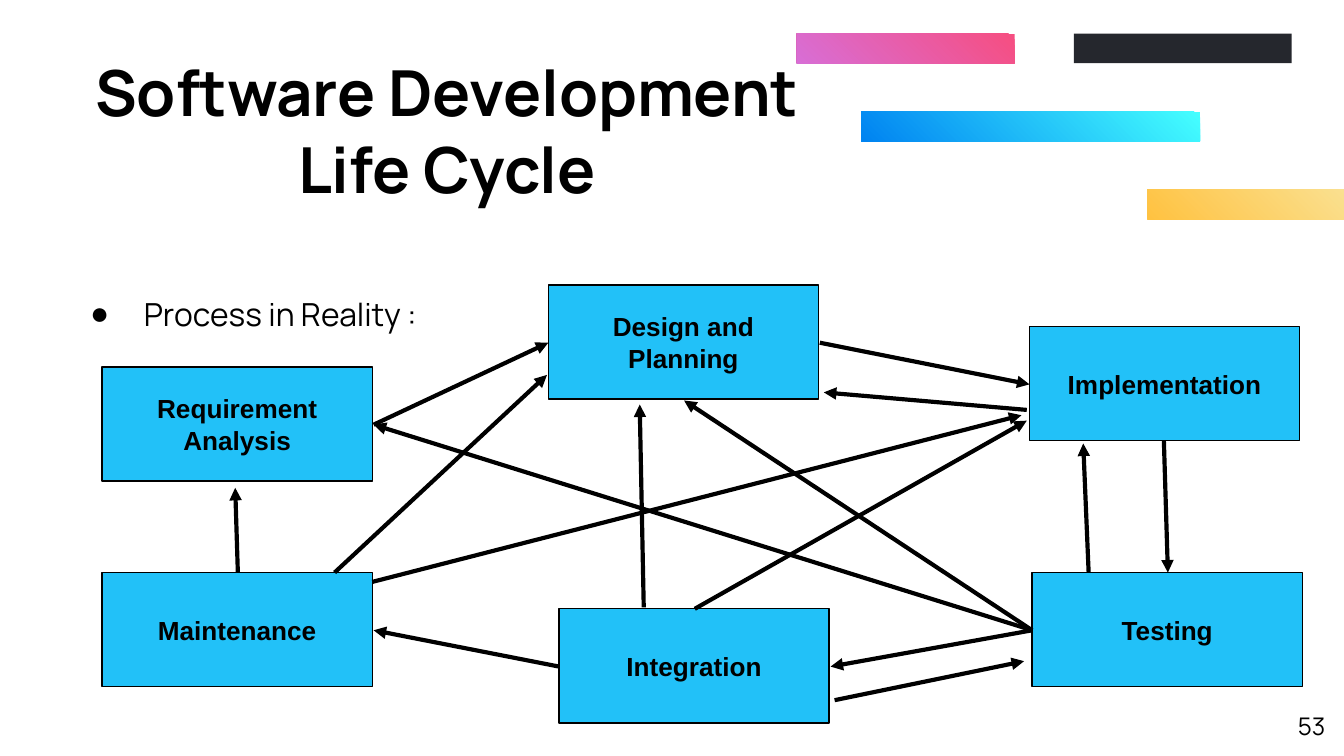
from dataclasses import dataclass
from typing import NamedTuple

from lxml import etree
from pptx import Presentation
from pptx import util as u
from pptx.dml.color import RGBColor
from pptx.enum import shapes, text
from pptx.oxml import ns


@dataclass(frozen=True)
class Theme:
    ink: str = "000000"
    stage: str = "22C1F8"
    charcoal: str = "25272D"
    cyan_blue: tuple[str, str] = ("45FFFF", "0083F1")
    pink: tuple[str, str] = ("F64E81", "D86ED5")
    yellow: tuple[str, str] = ("FAE08F", "FFC241")
    heading_font: str = "Manrope"
    stage_font: str = "Arial"
    title_size: float = 34
    body_size: float = 17
    stage_size: float = 14
    number_size: float = 13
    outline: float = 0.75
    arrow: float = 2.25


class Bar(NamedTuple):
    left: float
    top: float
    width: float
    colors: tuple[str, ...]


class Stage(NamedTuple):
    label: str
    left: float
    top: float


class Flow(NamedTuple):
    start: tuple[float, float]
    end: tuple[float, float]


THEME = Theme()
SLIDE_WIDTH = 10
SLIDE_HEIGHT = SLIDE_WIDTH * 9 / 16
BAR_HEIGHT = 0.22
STAGE_SIZE = (2.01, 0.85)

BARS = [
    Bar(6.41, 0.83, 2.52, THEME.cyan_blue),
    Bar(7.99, 0.25, 1.62, (THEME.charcoal,)),
    Bar(5.93, 0.25, 1.62, THEME.pink),
    Bar(8.54, 1.41, 1.46, THEME.yellow),
]

STAGES = [
    Stage("Design and Planning", 4.08, 2.12),
    Stage("Implementation", 7.66, 2.43),
    Stage("Testing", 7.68, 4.26),
    Stage("Integration", 4.16, 4.53),
    Stage("Maintenance", 0.76, 4.26),
    Stage("Requirement Analysis", 0.76, 2.73),
]

REQUIREMENT_RIGHT = (2.78, 3.16)
TESTING_LEFT = (7.68, 4.69)

FLOWS = [
    Flow(REQUIREMENT_RIGHT, (4.08, 2.55)),
    Flow((6.1, 2.55), (7.66, 2.86)),
    Flow((8.66, 3.28), (8.69, 4.26)),
    Flow(TESTING_LEFT, (6.18, 4.96)),
    Flow((4.16, 4.96), (2.78, 4.69)),
    Flow(TESTING_LEFT, REQUIREMENT_RIGHT),
    Flow(TESTING_LEFT, (5.09, 2.98)),
    Flow((7.64, 3.05), (6.13, 2.92)),
    Flow((8.1, 4.26), (8.06, 3.3)),
    Flow((1.77, 4.26), (1.75, 3.63)),
    Flow((6.21, 5.21), (7.62, 4.92)),
    Flow((4.79, 4.52), (4.76, 3.01)),
    Flow((5.17, 4.53), (7.64, 3.13)),
    Flow((2.49, 4.26), (4.07, 2.79)),
    Flow((2.77, 4.33), (7.6, 3.09)),
]


def place(shape, left: float, top: float, width: float, height: float) -> None:
    shape.left, shape.top = u.Inches(left), u.Inches(top)
    shape.width, shape.height = u.Inches(width), u.Inches(height)


def write(shape, words: str, *, size: float, font: str = THEME.heading_font,
          bold: bool = False, align=text.PP_ALIGN.LEFT,
          anchor=text.MSO_ANCHOR.TOP, spacing: float = 1.0):
    frame = shape.text_frame
    frame.word_wrap = True
    frame.auto_size = text.MSO_AUTO_SIZE.NONE
    frame.vertical_anchor = anchor
    frame.margin_left = frame.margin_right = u.Inches(0.1)
    frame.margin_top = frame.margin_bottom = u.Inches(0.1)
    paragraph = frame.paragraphs[0]
    paragraph.alignment = align
    paragraph.line_spacing = spacing
    paragraph.space_before = u.Pt(0)
    run = paragraph.add_run()
    run.text = words
    run.font.name, run.font.size, run.font.bold = font, u.Pt(size), bold
    run.font.color.rgb = RGBColor.from_string(THEME.ink)
    return paragraph


def add_bullet(paragraph, symbol: str, margin: float, indent: float) -> None:
    properties = paragraph._p.get_or_add_pPr()
    properties.set("marL", str(u.Inches(margin)))
    properties.set("indent", str(u.Inches(indent)))
    color = etree.SubElement(properties, ns.qn("a:buClr"))
    etree.SubElement(color, ns.qn("a:srgbClr"), val=THEME.ink)
    etree.SubElement(properties, ns.qn("a:buFont"), typeface=THEME.stage_font)
    etree.SubElement(properties, ns.qn("a:buChar"), char=symbol)


def add_rectangle(slide, left: float, top: float, width: float, height: float):
    rectangle = slide.shapes.add_shape(
        shapes.MSO_SHAPE.RECTANGLE,
        *map(u.Inches, (left, top, width, height)))
    rectangle.shadow.inherit = False
    return rectangle


def draw_bar(slide, bar: Bar) -> None:
    strip = add_rectangle(slide, bar.left, bar.top, bar.width, BAR_HEIGHT)
    strip.line.fill.background()
    if len(bar.colors) == 1:
        strip.fill.solid()
        strip.fill.fore_color.rgb = RGBColor.from_string(bar.colors[0])
        return
    strip.fill.gradient()
    strip.fill.gradient_angle = 225
    for stop, color in zip(strip.fill.gradient_stops, bar.colors):
        stop.color.rgb = RGBColor.from_string(color)


def draw_stage(slide, stage: Stage) -> None:
    box = add_rectangle(slide, stage.left, stage.top, *STAGE_SIZE)
    box.fill.solid()
    box.fill.fore_color.rgb = RGBColor.from_string(THEME.stage)
    box.line.color.rgb = RGBColor.from_string(THEME.ink)
    box.line.width = u.Pt(THEME.outline)
    write(box, stage.label, size=THEME.stage_size, font=THEME.stage_font, bold=True,
          align=text.PP_ALIGN.CENTER, anchor=text.MSO_ANCHOR.MIDDLE)


def draw_flow(slide, flow: Flow) -> None:
    arrow = slide.shapes.add_connector(
        shapes.MSO_CONNECTOR.STRAIGHT, *map(u.Inches, flow.start + flow.end))
    arrow.line.color.rgb = RGBColor.from_string(THEME.ink)
    arrow.line.width = u.Pt(THEME.arrow)
    etree.SubElement(arrow.get_or_add_ln(), ns.qn("a:tailEnd"), type="triangle")
    etree.SubElement(arrow._element.spPr, ns.qn("a:effectLst"))


def main() -> None:
    deck = Presentation()
    deck.slide_width = u.Inches(SLIDE_WIDTH)
    deck.slide_height = u.Inches(SLIDE_HEIGHT)
    slide = deck.slides.add_slide(deck.slide_layouts[1])

    title, process = slide.placeholders
    place(title, 0.26, 0.25, 6.13, 1.43)
    write(title, "Software Development Life Cycle", size=THEME.title_size, bold=True,
          align=text.PP_ALIGN.CENTER, anchor=text.MSO_ANCHOR.MIDDLE)
    place(process, 0.47, 1.95, 9.06, 0.51)
    add_bullet(write(process, "Process in Reality :", size=THEME.body_size, spacing=1.5),
               "●", 0.5, -0.4)

    for bar in BARS:
        draw_bar(slide, bar)
    for stage in STAGES:
        draw_stage(slide, stage)
    for flow in FLOWS:
        draw_flow(slide, flow)

    page_number = slide.shapes.add_textbox(*map(u.Inches, (9.36, 5.19, 0.6, 0.43)))
    write(page_number, "53", size=THEME.number_size, align=text.PP_ALIGN.RIGHT)

    deck.save("out.pptx")


if __name__ == "__main__":
    main()
